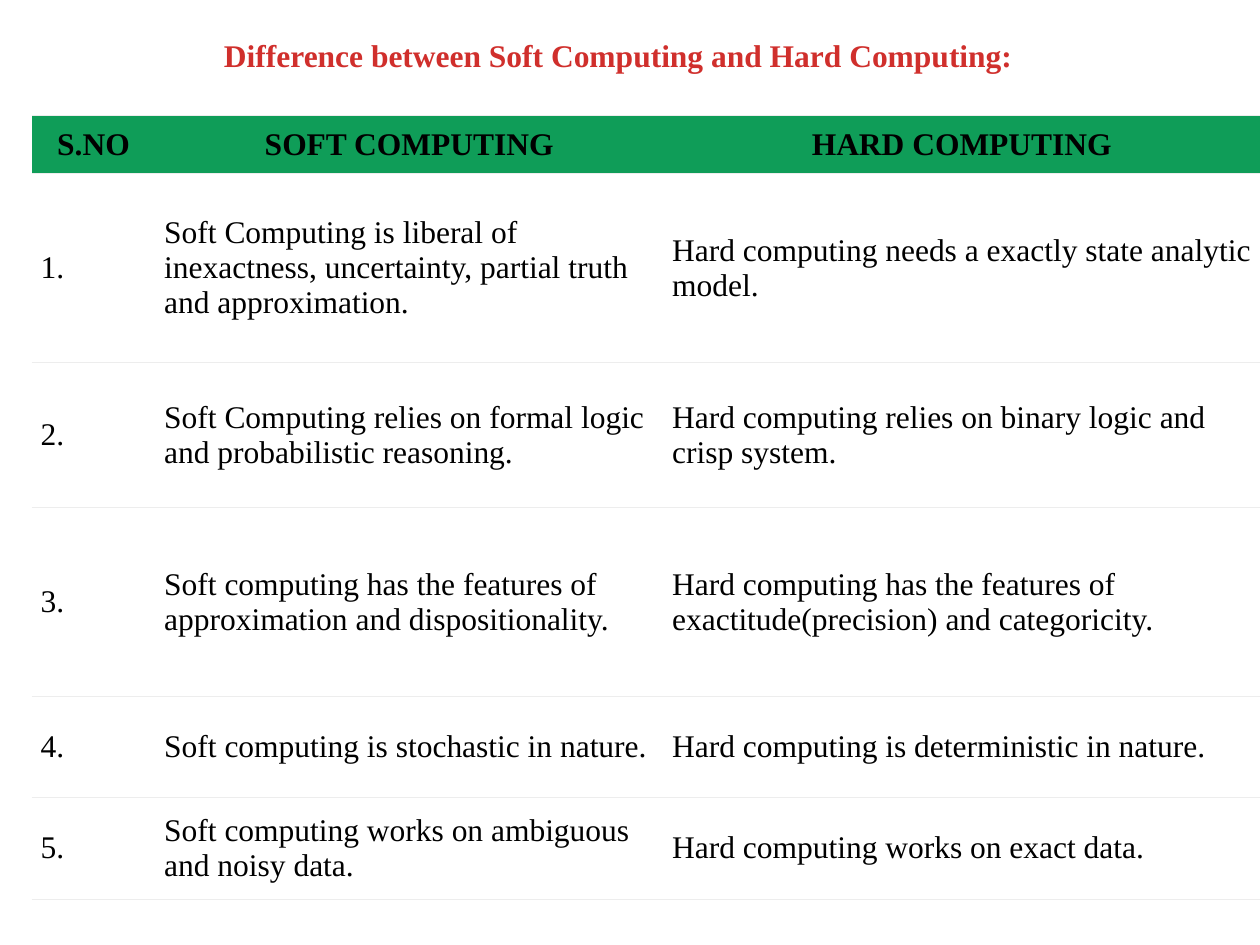
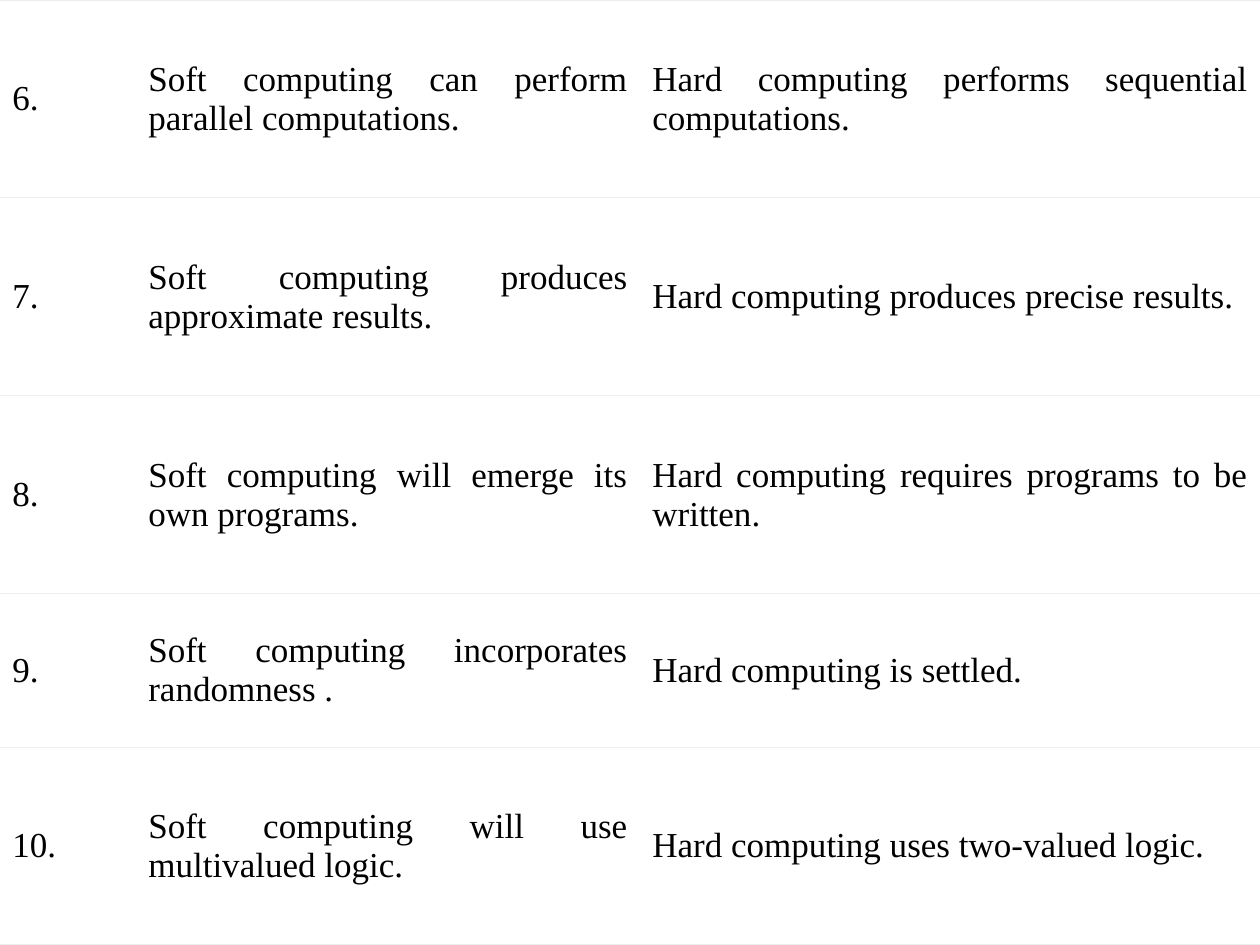
import pptx
import pptx.dml.color
import pptx.enum.shapes
import pptx.enum.text
import pptx.oxml
import pptx.oxml.ns
import pptx.util
from pptx.util import Cm

ALIGN = pptx.enum.text.PP_ALIGN
ANCHOR = pptx.enum.text.MSO_ANCHOR
GREEN, RED, BLACK, WHITE, RULE = "0F9D58", "D02F2C", "000000", "FFFFFF", "EDEDED"

HEADER = ("S.NO", "SOFT COMPUTING", "HARD COMPUTING")
FIRST_ROWS = [
    ("Soft Computing is liberal of inexactness, uncertainty, partial truth and approximation.",
     "Hard computing needs a exactly state analytic model."),
    ("Soft Computing relies on formal logic and probabilistic reasoning.",
     "Hard computing relies on binary logic and crisp system."),
    ("Soft computing has the features of approximation and dispositionality.",
     "Hard computing has the features of exactitude(precision) and categoricity."),
    ("Soft computing is stochastic in nature.",
     "Hard computing is deterministic in nature."),
    ("Soft computing works on ambiguous and noisy data.",
     "Hard computing works on exact data."),
]
LAST_ROWS = [
    ("Soft computing can perform parallel computations.",
     "Hard computing performs sequential computations."),
    ("Soft computing produces approximate results.",
     "Hard computing produces precise results."),
    ("Soft computing will emerge its own programs.",
     "Hard computing requires programs to be written."),
    ("Soft computing incorporates randomness .",
     "Hard computing is settled."),
    ("Soft computing will use multivalued logic.",
     "Hard computing uses two-valued logic."),
]


def rgb(color):
    return pptx.dml.color.RGBColor.from_string(color)


def numbered(rows, start):
    return [(f"{n}.", *row) for n, row in enumerate(rows, start)]


class Deck:
    font = "Times New Roman"

    def __init__(self):
        self.prs = pptx.Presentation()
        self.prs.slide_width, self.prs.slide_height = Cm(25.4), Cm(19.05)
        self.s = None

    def slide(self):
        self.s = self.prs.slides.add_slide(self.prs.slide_layouts[6])

    def run(self, p, text, size, color=BLACK, bold=False):
        r = p.add_run()
        r.text = text
        r.font.name, r.font.size, r.font.bold = self.font, pptx.util.Pt(size), bold
        r.font.color.rgb = rgb(color)

    def title(self, text, left, top, width, height):
        sp = self.s.shapes.add_shape(pptx.enum.shapes.MSO_SHAPE.RECTANGLE,
                                     Cm(left), Cm(top), Cm(width), Cm(height))
        sp.shadow.inherit = False
        sp.fill.solid()
        sp.fill.fore_color.rgb = rgb(WHITE)
        sp.line.fill.background()
        tf = sp.text_frame
        tf.word_wrap = False
        tf.vertical_anchor = ANCHOR.TOP
        tf.margin_left = tf.margin_right = tf.margin_bottom = 0
        tf.margin_top = Cm(0.08)
        p = tf.paragraphs[0]
        p.alignment = ALIGN.CENTER
        self.run(p, text, 18, RED, True)

    def borders(self, cell):
        """Rule the cell above and below, and leave its sides open."""
        rule = f'<a:solidFill><a:srgbClr val="{RULE}"/></a:solidFill>'
        ns = pptx.oxml.ns.nsdecls("a")
        sides = {"lnL": "<a:noFill/>", "lnR": "<a:noFill/>", "lnT": rule, "lnB": rule}
        tc_pr = cell._tc.get_or_add_tcPr()
        for i, (side, fill) in enumerate(sides.items()):
            tc_pr.insert(i, pptx.oxml.parse_xml(f'<a:{side} {ns} w="9525">{fill}</a:{side}>'))

    def cell(self, cell, text, size, align, fill, margins, bold=False):
        if fill:
            cell.fill.solid()
            cell.fill.fore_color.rgb = rgb(fill)
        else:
            cell.fill.background()
        cell.vertical_anchor = ANCHOR.MIDDLE
        cell.margin_left = cell.margin_right = Cm(margins[0])
        cell.margin_top = cell.margin_bottom = Cm(margins[1])
        p = cell.text_frame.paragraphs[0]
        p.alignment = align
        self.run(p, text, size, bold=bold)
        self.borders(cell)

    def table(self, left, top, widths, heights, rows, size, align, fill, margins, header=None):
        all_rows = ([header] if header else []) + rows
        tbl = self.s.shapes.add_table(len(all_rows), len(widths), Cm(left), Cm(top),
                                      Cm(sum(widths)), Cm(sum(heights))).table
        tbl.first_row = tbl.horz_banding = False
        for col, width in zip(tbl.columns, widths):
            col.width = Cm(width)
        for row, height, texts in zip(tbl.rows, heights, all_rows):
            row.height = Cm(height)
            for cell, text in zip(row.cells, texts):
                if texts is header:
                    self.cell(cell, text, size, ALIGN.CENTER, GREEN, (0.1, 0.1), True)
                else:
                    self.cell(cell, text, size, align, fill, margins)


def main():
    deck = Deck()

    deck.slide()
    deck.table(0.64, 2.33, (2.49, 10.24, 12.04), (1.17, 3.81, 2.92, 3.81, 2.03, 2.06),
               numbered(FIRST_ROWS, 1), 18, ALIGN.LEFT, None, (0.18, 0.1), HEADER)
    deck.title("Difference between Soft Computing and Hard Computing:", 4.44, 0.64, 16.05, 1.55)

    deck.slide()
    deck.table(0, 0, (2.74, 10.16, 12.5), (3.99, 3.99, 3.99, 3.09, 3.99),
               numbered(LAST_ROWS, 6), 20, ALIGN.JUSTIFY, WHITE, (0.25, 0.13))

    deck.prs.save("out.pptx")


if __name__ == "__main__":
    main()
